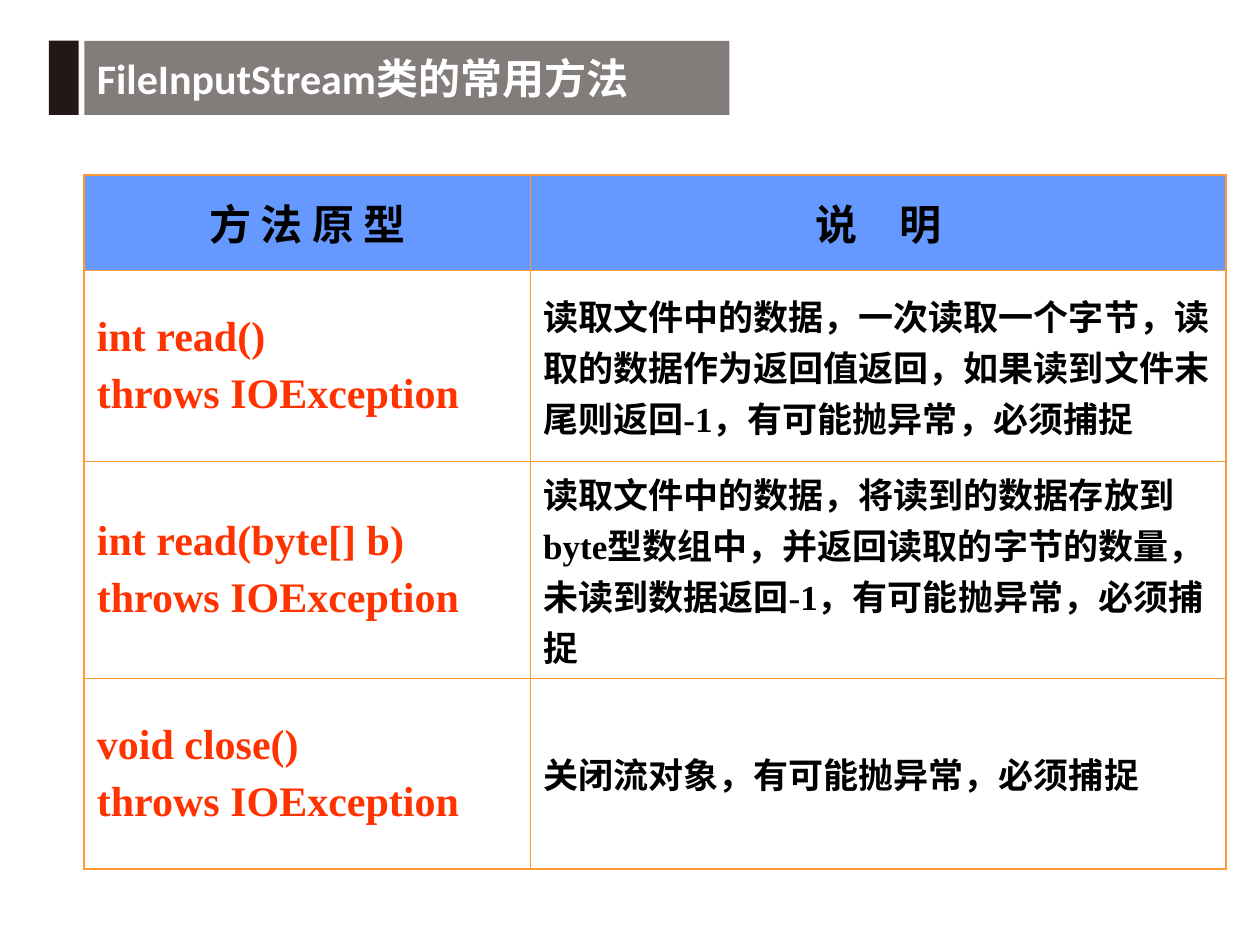
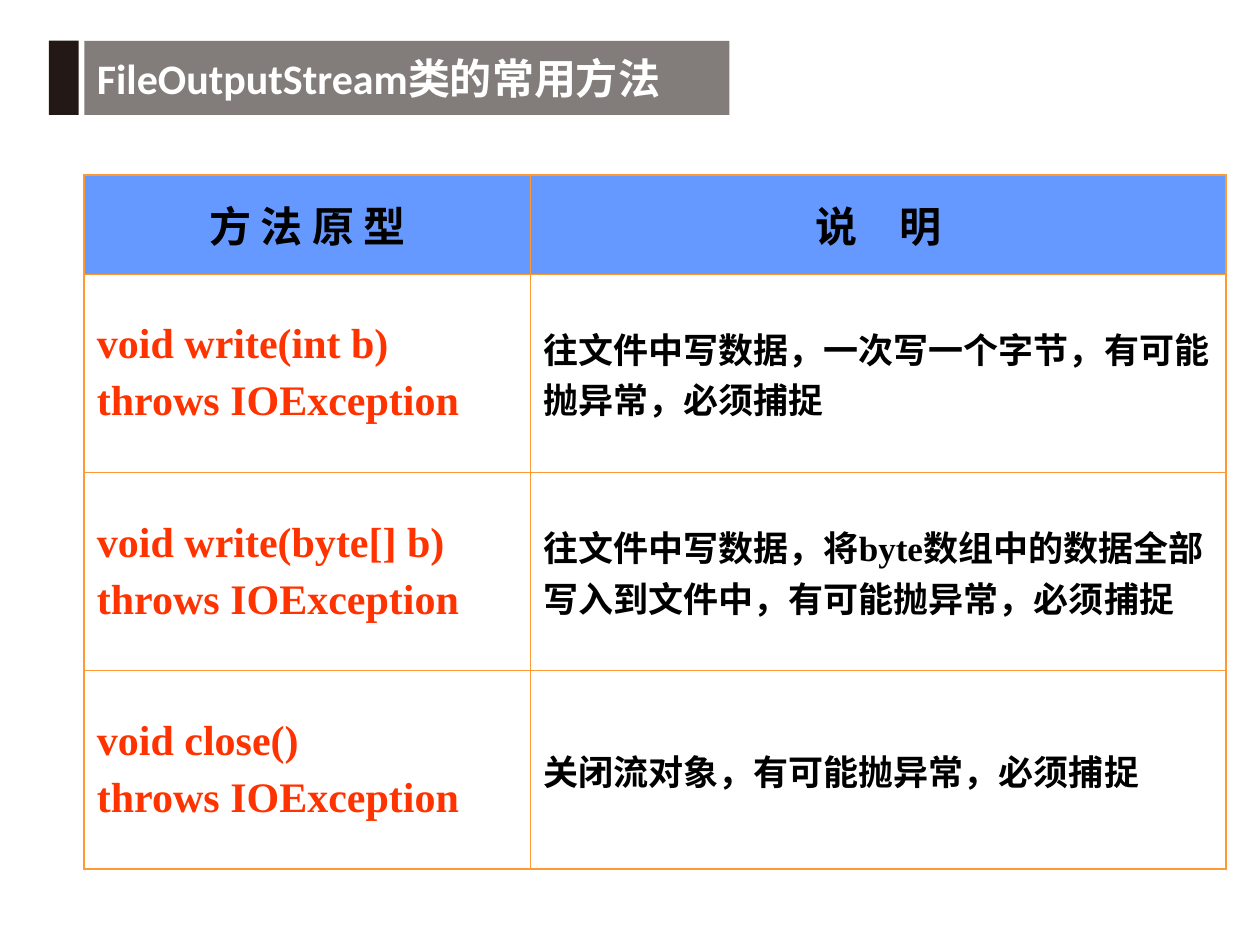
from lxml import etree
from pptx import Presentation
from pptx.dml.color import RGBColor
from pptx.enum.shapes import MSO_CONNECTOR, MSO_SHAPE
from pptx.enum.text import MSO_ANCHOR, MSO_AUTO_SIZE, PP_ALIGN
from pptx.oxml.ns import qn
from pptx.util import Pt

RECTANGLE, STRAIGHT = MSO_SHAPE.RECTANGLE, MSO_CONNECTOR.STRAIGHT
MIDDLE, NO_FIT = MSO_ANCHOR.MIDDLE, MSO_AUTO_SIZE.NONE
LEFT, CENTER = PP_ALIGN.LEFT, PP_ALIGN.CENTER

INK, GREY, WHITE, BLACK = "231815", "827C7A", "FFFFFF", "000000"
BLUE, RED, ORANGE = "6699FF", "FF3300", "FF9933"
OUTER_LINE, INNER_LINE = 1.08, 0.45

TITLE_FORMAT = {"name": "Calibri", "size": Pt(24), "bold": True}
HEADER_FORMAT = {"name": "Courier New", "size": Pt(24), "bold": True}
METHOD_FORMAT = {"name": "Times New Roman", "size": Pt(24), "bold": True}
NOTE_FORMAT = {"name": "Times New Roman", "size": Pt(20), "bold": True}

TITLE_BOX = (28, 23.3, 388.8, 42.4)
TABLE_BOX = (48.2, 100, 652.4, 396.5)
METHOD_WIDTH = 255
HEADINGS = ("方 法 原 型", "说　明")
THROWS = "throws IOException"
CLOSE_ROW = ("void close()", "关闭流对象，有可能抛异常，必须捕捉")

PAGES = [
    ("FileInputStream类的常用方法", (1, 2, 2.27, 2), [
        ("int read()", "读取文件中的数据，一次读取一个字节，读取的数据作为返回值返回，"
         "如果读到文件末尾则返回-1，有可能抛异常，必须捕捉"),
        ("int read(byte[] b)", "读取文件中的数据，将读到的数据存放到byte型数组中，"
         "并返回读取的字节的数量，未读到数据返回-1，有可能抛异常，必须捕捉"),
        CLOSE_ROW,
    ]),
    ("FileOutputStream类的常用方法", (1, 2, 2, 2), [
        ("void write(int b)", "往文件中写数据，一次写一个字节，有可能抛异常，必须捕捉"),
        ("void write(byte[] b)", "往文件中写数据，将byte数组中的数据全部写入到文件中，"
         "有可能抛异常，必须捕捉"),
        CLOSE_ROW,
    ]),
]


def paint(fill, color):
    """Give a fill one solid colour."""
    fill.solid()
    fill.fore_color.rgb = RGBColor.from_string(color)


def write(frame, lines, formats, color, align=LEFT):
    """Write one paragraph per line with the given font values."""
    frame.text = "\n".join(lines)
    for index, para in enumerate(frame.paragraphs):
        para.alignment = align
        para.space_before = Pt(6 if index else 0)
        for span in para.runs:
            for name, value in formats.items():
                setattr(span.font, name, value)
            span.font.color.rgb = RGBColor.from_string(color)


def add_title(page, box, text):
    """Place the dark tab, its white edge and the grey title bar."""
    left, top, width, height = box
    tab = page.shapes.add_shape(RECTANGLE, Pt(left), Pt(top), Pt(17), Pt(height))
    tab.shadow.inherit = False
    paint(tab.fill, INK)
    tab.line.fill.background()

    edge_x = Pt(left + 17.3)
    edge = page.shapes.add_connector(STRAIGHT, edge_x, Pt(top), edge_x, Pt(top + 31.5))
    edge.line.width = Pt(0.75)
    edge.line.color.rgb = RGBColor.from_string(WHITE)
    etree.SubElement(edge.element.spPr, qn("a:effectLst"))

    title = page.shapes.title
    bar = {"left": left + 20.2, "top": top, "width": width - 20.2, "height": height}
    for name, value in bar.items():
        setattr(title, name, Pt(value))
    paint(title.fill, GREY)
    frame = title.text_frame
    for name, value in {"word_wrap": True, "auto_size": NO_FIT, "vertical_anchor": MIDDLE}.items():
        setattr(frame, name, value)
    write(frame, [text], TITLE_FORMAT, WHITE)


def draw_borders(cell, edges):
    """Draw the four cell borders, heavier where the table ends."""
    properties = cell._tc.get_or_add_tcPr()
    for side, is_outer in edges.items():
        width = Pt(OUTER_LINE if is_outer else INNER_LINE)
        line = etree.SubElement(properties, qn(f"a:ln{side}"), w=str(int(width)))
        fill = etree.SubElement(line, qn("a:solidFill"))
        etree.SubElement(fill, qn("a:srgbClr"), val=ORANGE)


def add_method_table(page, box, weights, methods):
    """Place the table of methods, with row heights shared out by weight."""
    left, top, width, height = box
    rows = [([HEADINGS[0]], [HEADINGS[1]])]
    rows += [([method, THROWS], [note]) for method, note in methods]
    frame = page.shapes.add_table(len(rows), 2, Pt(left), Pt(top), Pt(width), Pt(height))
    table = frame.table
    for column, span in zip(table.columns, (METHOD_WIDTH, width - METHOD_WIDTH)):
        column.width = Pt(span)
    for row, weight in zip(table.rows, weights):
        row.height = Pt(height * weight / sum(weights))

    for row_index, row in enumerate(rows):
        for column_index, lines in enumerate(row):
            cell = table.cell(row_index, column_index)
            is_header = row_index == 0
            draw_borders(cell, {
                "L": column_index == 0, "R": column_index == 1,
                "T": is_header, "B": row_index == len(rows) - 1,
            })
            paint(cell.fill, BLUE if is_header else WHITE)
            cell.vertical_anchor = MIDDLE
            if is_header:
                write(cell.text_frame, lines, HEADER_FORMAT, BLACK, CENTER)
            elif column_index == 0:
                write(cell.text_frame, lines, METHOD_FORMAT, RED)
            else:
                write(cell.text_frame, lines, NOTE_FORMAT, BLACK)


def main():
    """Build the deck and save it."""
    deck = Presentation()
    deck.slide_width, deck.slide_height = Pt(720), Pt(540)
    for title, weights, methods in PAGES:
        page = deck.slides.add_slide(deck.slide_layouts[5])
        add_title(page, TITLE_BOX, title)
        add_method_table(page, TABLE_BOX, weights, methods)
    deck.save("out.pptx")


if __name__ == "__main__":
    main()
